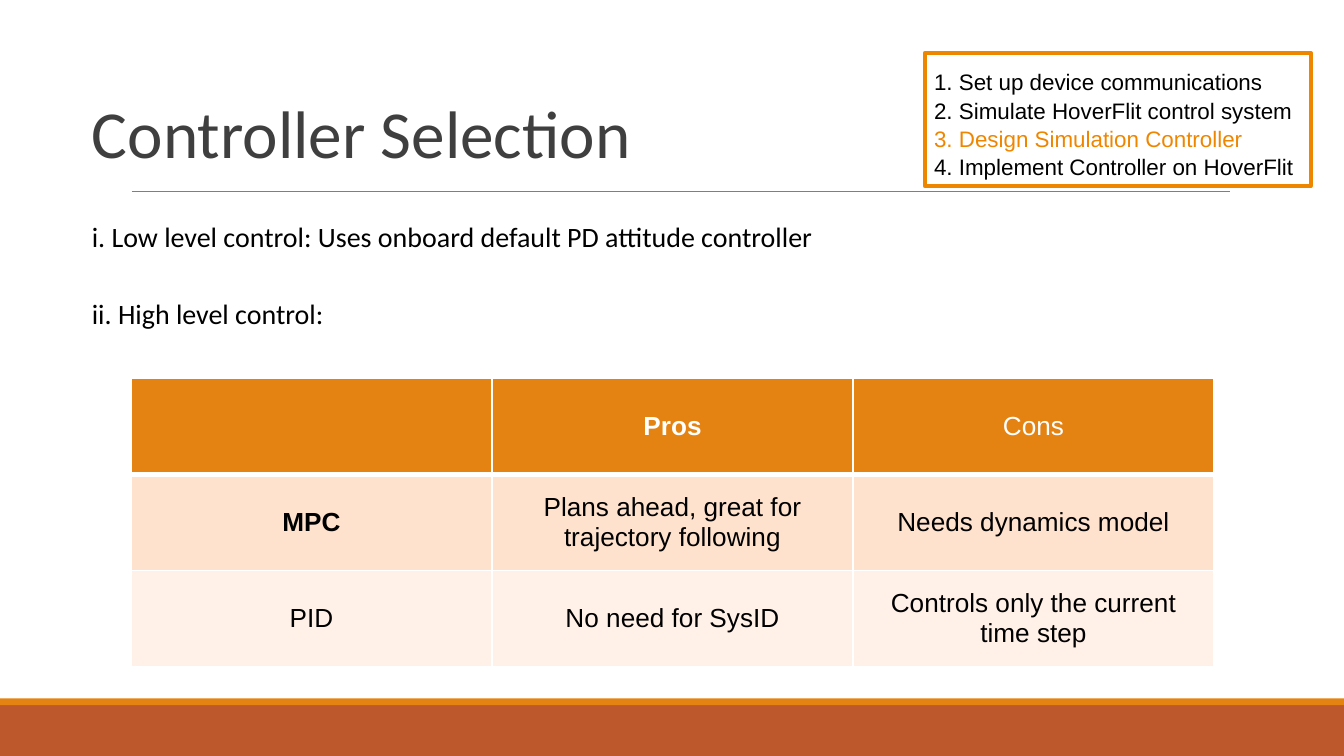
from dataclasses import dataclass
from lxml.etree import SubElement
from pptx import Presentation
from pptx.dml.color import RGBColor
from pptx.enum.shapes import MSO_CONNECTOR as Connector, MSO_SHAPE as Shape
from pptx.enum.text import MSO_ANCHOR as Anchor, PP_ALIGN as Align
from pptx.oxml.ns import qn
from pptx.util import Pt


@dataclass(frozen=True)
class Theme:
    accent: str = "E48312"
    rust: str = "BD582C"
    highlight: str = "EF8600"
    rule: str = "7F7F7F"
    heading: str = "3F3F3F"
    ink: str = "000000"
    white: str = "FFFFFF"
    bands: tuple = ("FFE2CD", "FFF1E8")
    head_font: str = "Calibri"
    text_font: str = "Arial"
    title_size: float = 36
    body_size: float = 15
    table_size: float = 14
    agenda_size: float = 12


THEME = Theme()
INSET = 7.2
INDENT = 8.6

AGENDA = ["1. Set up device communications", "2. Simulate HoverFlit control system",
          "3. Design Simulation Controller", "4. Implement Controller on HoverFlit"]
CURRENT_STEP = 2
POINTS = ["i. Low level control: Uses onboard default PD attitude controller",
          "ii. High level control:"]
COMPARISON = [["", "Pros", "Cons"],
              ["MPC", "Plans ahead, great for trajectory following", "Needs dynamics model"],
              ["PID", "No need for SysID", "Controls only the current time step"]]
BOLD_CELLS = {"Pros", "MPC"}


def rgb(code):
    return RGBColor.from_string(code)


def set_font(para, name, size, color, bold=False):
    font = para.font
    font.name, font.size, font.bold = name, Pt(size), bold
    font.color.rgb = rgb(color)


def add_rect(page, box, fill=None, line=None, width=2):
    rect = page.shapes.add_shape(Shape.RECTANGLE, *map(Pt, box))
    rect.shadow.inherit = False
    if fill:
        rect.fill.solid()
        rect.fill.fore_color.rgb = rgb(fill)
    else:
        rect.fill.background()
    if line:
        rect.line.color.rgb = rgb(line)
        rect.line.width = Pt(width)
    else:
        rect.line.fill.background()


def add_text(page, box, lines, font, size, color, indent=0):
    """Place one paragraph per line and return the paragraphs."""
    frame = page.shapes.add_textbox(*map(Pt, box)).text_frame
    frame.word_wrap = True
    frame.margin_left = Pt(INSET + indent)
    frame.margin_top = frame.margin_right = frame.margin_bottom = Pt(INSET)
    frame.text = "\n".join(lines)
    for para in frame.paragraphs:
        set_font(para, font, size, color)
    return frame.paragraphs


def add_footer(page, box):
    left, top, width, height = box
    stripe = 3.6
    add_rect(page, (left, top + stripe, width, height - stripe), THEME.rust)
    add_rect(page, (left, top, width, stripe), THEME.accent)


def add_heading(page, box):
    left, top, width, height = box
    add_text(page, box, ["Controller Selection"],
             THEME.head_font, THEME.title_size, THEME.heading)
    # Rule below the title
    rule_y = top + height + 15.7
    rule = page.shapes.add_connector(Connector.STRAIGHT, Pt(70.6), Pt(rule_y),
                                     Pt(658.8), Pt(rule_y))
    rule.line.color.rgb = rgb(THEME.rule)
    rule.line.width = Pt(0.75)
    SubElement(rule._element.spPr, qn("a:effectLst"))


def add_points(page, box):
    paras = add_text(page, box, POINTS, THEME.head_font, THEME.body_size,
                     THEME.ink, INDENT)
    for para in paras:
        para.line_spacing = 1.15
    paras[0].space_after = Pt(20.5)


def add_agenda(page, box):
    left, top, width, height = box
    add_rect(page, box, line=THEME.highlight)
    paras = add_text(page, (left - 10.8, top + 0.5, width + 13, height - 0.5), AGENDA,
                     THEME.text_font, THEME.agenda_size, THEME.ink, INDENT)
    for para in paras:
        para.line_spacing = 1.05
    paras[CURRENT_STEP].font.color.rgb = rgb(THEME.highlight)


def set_borders(cell, widths):
    """Draw white borders; widths maps a side (L, R, T, B) to points."""
    props = cell._tc.get_or_add_tcPr()
    for index, (side, width) in enumerate(widths.items()):
        line = SubElement(props, qn(f"a:ln{side}"), w=str(Pt(width)))
        fill = SubElement(line, qn("a:solidFill"))
        SubElement(fill, qn("a:srgbClr"), val=THEME.white)
        props.remove(line)
        props.insert(index, line)


def add_comparison(page, box):
    rows, cols = len(COMPARISON), len(COMPARISON[0])
    table = page.shapes.add_table(rows, cols, *map(Pt, box)).table
    for column in table.columns:
        column.width = Pt(box[2] / cols)
    for r, texts in enumerate(COMPARISON):
        table.rows[r].height = Pt(box[3] / rows)
        header = r == 0
        for c, text in enumerate(texts):
            cell = table.cell(r, c)
            cell.text = text
            cell.vertical_anchor = Anchor.MIDDLE
            cell.fill.solid()
            cell.fill.fore_color.rgb = rgb(THEME.accent if header else THEME.bands[r - 1])
            para = cell.text_frame.paragraphs[0]
            para.alignment = Align.CENTER
            set_font(para, THEME.text_font, THEME.table_size,
                     THEME.white if header else THEME.ink, text in BOLD_CELLS)
            set_borders(cell, {"L": 1, "R": 1, "T": 3 if r == 1 else 1,
                               "B": 3 if header else 1})


def main():
    deck = Presentation()
    deck.slide_width, deck.slide_height = Pt(720), Pt(405)
    page = deck.slides.add_slide(deck.slide_layouts[6])
    add_footer(page, (0, 374.2, 720, 30.8))
    add_heading(page, (42.2, 41.6, 327, 45.4))
    add_points(page, (33.4, 108, 671, 269))
    add_comparison(page, (70.2, 202.6, 580.2, 154.5))
    add_agenda(page, (495.4, 28.3, 206.8, 71.5))
    deck.save("out.pptx")


if __name__ == "__main__":
    main()
